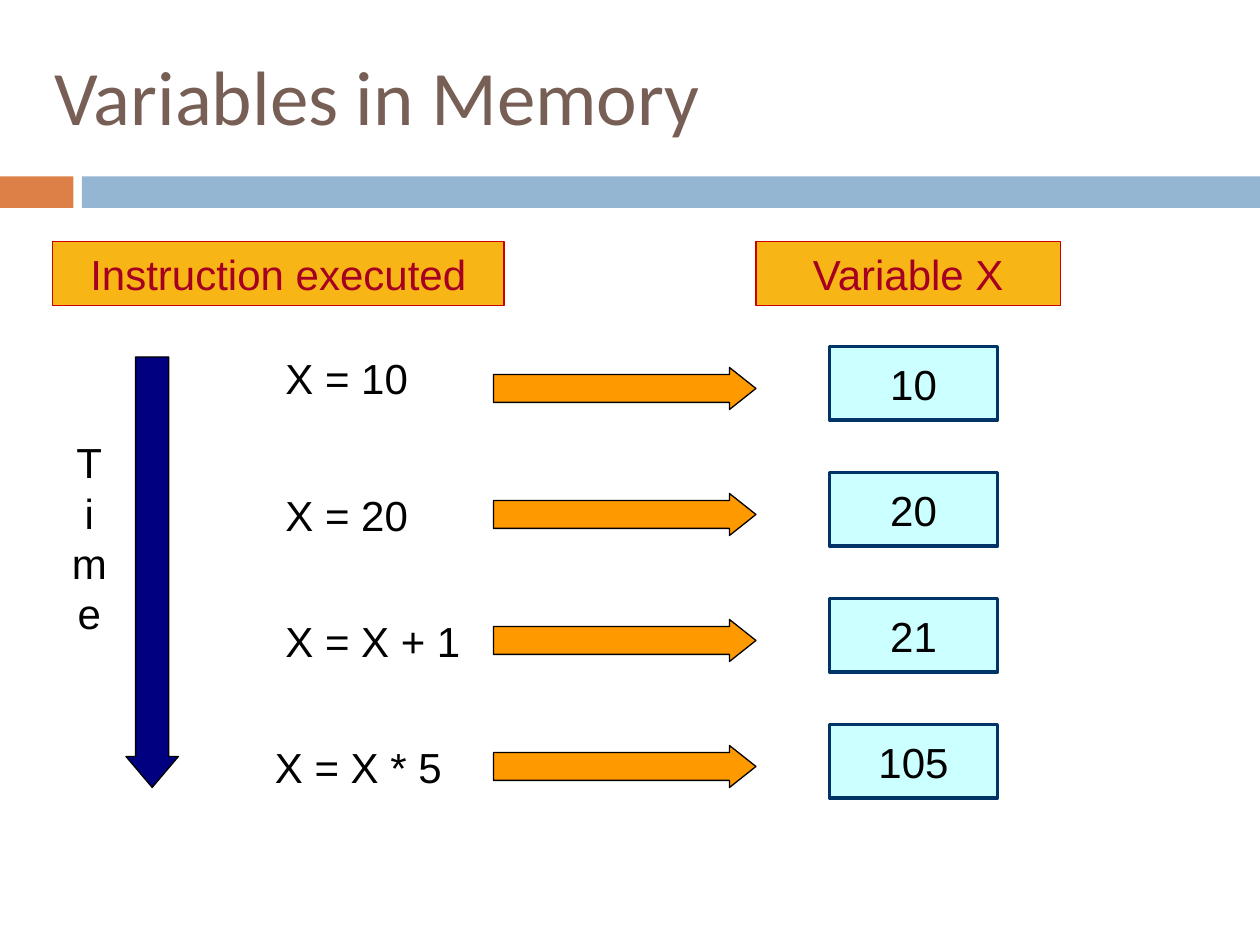
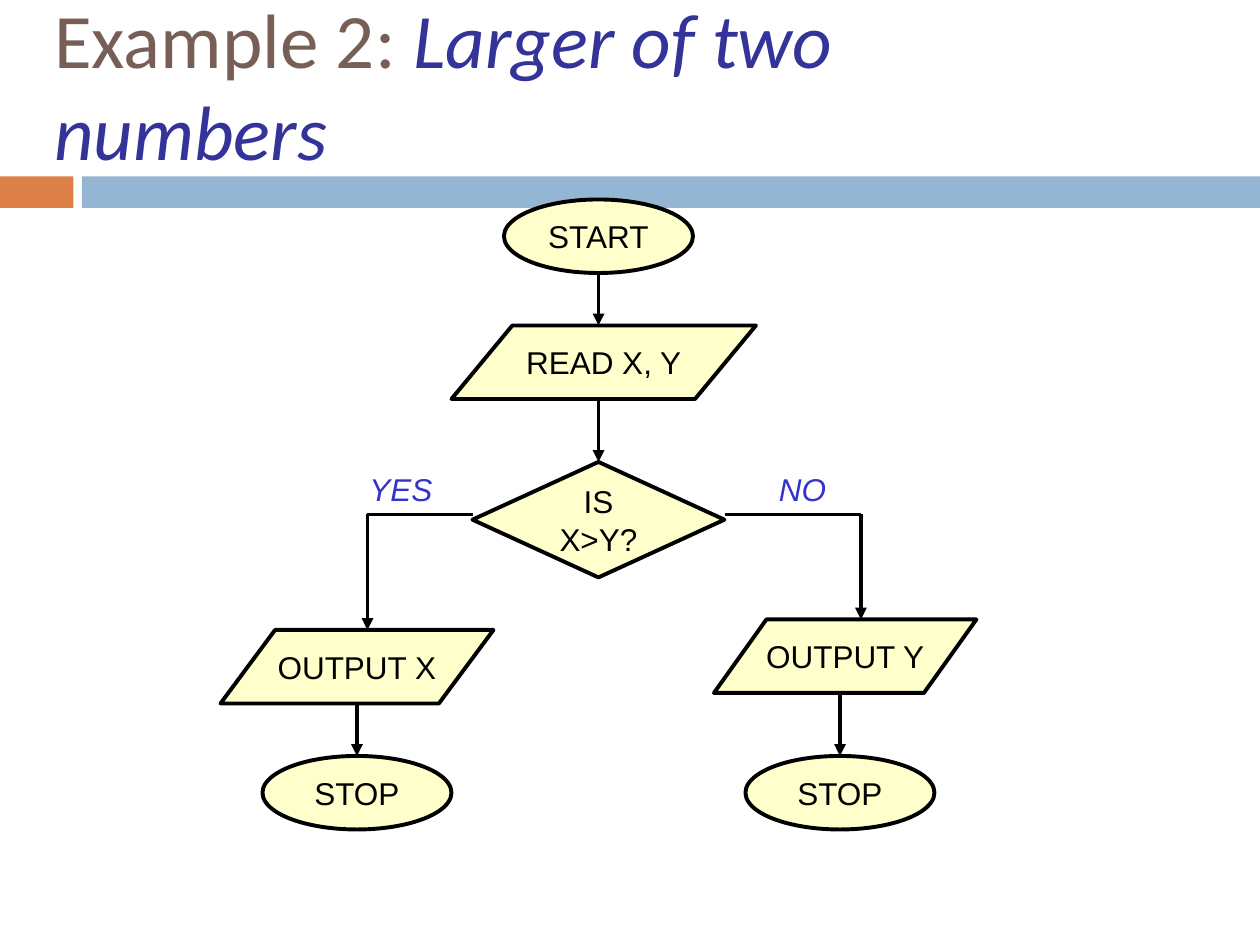
from dataclasses import dataclass

from lxml.etree import SubElement
from pptx import Presentation
from pptx.dml.color import RGBColor
from pptx.enum.shapes import MSO_CONNECTOR as Connector, MSO_SHAPE as Shape
from pptx.enum.text import MSO_ANCHOR as Anchor, PP_ALIGN as Align
from pptx.oxml.ns import qn
from pptx.util import Inches, Pt


@dataclass(frozen=True)
class Theme:
    """Colours, fonts and type sizes shared by the slides."""
    title_font: str = "Calibri"
    body_font: str = "Arial"
    title_size: int = 44
    body_size: int = 24
    chart_size: int = 18
    title: str = "775F55"
    subtitle: str = "333399"
    accent: str = "DD8047"
    band: str = "94B6D2"
    ink: str = "000000"
    heading: str = "A50021"
    heading_fill: str = "F7B615"
    heading_line: str = "CC0000"
    memory_fill: str = "CCFFFF"
    memory_line: str = "003366"
    arrow: str = "FF9900"
    time: str = "000080"
    node: str = "FFFFCC"
    branch: str = "3333CC"
    thin: float = 0.75
    medium: float = 2
    thick: float = 2.25


theme = Theme()
CELL = Inches(1 / 12)  # the page is a grid of 120 columns by 90 rows


def add_box(shapes, kind, area, text="", size=theme.body_size, color=theme.ink,
            fill=None, line=None, weight=theme.thin, align=Align.CENTER,
            wrap=True, italic=False, font=theme.body_font):
    """Add a preset shape, or a text box if kind is None, on (col, row, cols, rows)."""
    place = [round(cells * CELL) for cells in area]
    if kind is None:
        box = shapes.add_textbox(*place)
    else:
        box = shapes.add_shape(kind, *place)
        box.shadow.inherit = False
        box.fill.solid()
        box.fill.fore_color.rgb = RGBColor.from_string(fill)
        if line:
            box.line.color.rgb = RGBColor.from_string(line)
            box.line.width = Pt(weight)
        else:
            box.line.fill.background()
    if text:
        box.text_frame.text = text
        box.text_frame.word_wrap = wrap
        for para in box.text_frame.paragraphs:
            para.alignment = align
            for span in para.runs:
                span.font.name, span.font.size = font, Pt(size)
                span.font.italic = italic
                span.font.color.rgb = RGBColor.from_string(color)
    return box


def add_line(page, start, end, arrow):
    """Join two grid points with a straight line, with an arrowhead if asked."""
    points = [round(cells * CELL) for cells in start + end]
    link = page.shapes.add_connector(Connector.STRAIGHT, *points)
    link.line.color.rgb = RGBColor.from_string(theme.ink)
    link.line.width = Pt(theme.thick)
    properties = link.element.spPr
    if arrow:
        SubElement(properties.find(qn("a:ln")), qn("a:tailEnd"), type="triangle")
    SubElement(properties, qn("a:effectLst"))


deck = Presentation()
deck.slide_width, deck.slide_height = 120 * CELL, 90 * CELL
blank = deck.slide_layouts[6]

# Shared frame: bands and title
titles = [("Variables in Memory", "", (4, 4, 102, 10)),
          ("Example 2: ", "Larger of two numbers", (4, 2, 102, 12))]
pages = []
for text, emphasis, area in titles:
    page = deck.slides.add_slide(blank)
    add_box(page.shapes, Shape.RECTANGLE, (0, 16.8, 7, 3), fill=theme.accent)
    add_box(page.shapes, Shape.RECTANGLE, (7.8, 16.8, 112.2, 3), fill=theme.band)
    title = add_box(page.shapes, None, area, text, theme.title_size, theme.title,
                    align=Align.LEFT, font=theme.title_font)
    title.text_frame.vertical_anchor = Anchor.MIDDLE
    if emphasis:
        span = title.text_frame.paragraphs[0].add_run()
        span.text = emphasis
        span.font.name, span.font.size = theme.title_font, Pt(theme.title_size)
        span.font.italic = True
        span.font.color.rgb = RGBColor.from_string(theme.subtitle)
    pages.append(page)
memory_page, flow_page = pages

# Variables in memory: headings, time axis, one row per instruction
for text, column, columns in [("Instruction executed", 5, 43), ("Variable X", 72, 29)]:
    add_box(memory_page.shapes, Shape.RECTANGLE, (column, 23, columns, 6.1), text,
            color=theme.heading, fill=theme.heading_fill, line=theme.heading_line)

time_arrow = add_box(memory_page.shapes, Shape.DOWN_ARROW, (12, 34, 5, 41),
                     fill=theme.time, line=theme.ink)
time_arrow.adjustments[0], time_arrow.adjustments[1] = 0.63, 0.59
add_box(memory_page.shapes, None, (4, 41, 9, 27.6), "\n".join("Time"))

steps = [("X = 10", "10", 26, 33), ("X = 20", "20", 26, 46),
         ("X = X + 1", "21", 26, 58), ("X = X * 5", "105", 25, 70)]
for index, (instruction, value, column, row) in enumerate(steps):
    add_box(memory_page.shapes, None, (column, row, 20, 6), instruction,
            align=Align.LEFT)
    group = memory_page.shapes.add_group_shape()
    top = 33 + 12 * index
    add_box(group.shapes, Shape.RECTANGLE, (79, top, 16, 7), value, wrap=False,
            fill=theme.memory_fill, line=theme.memory_line, weight=theme.medium)
    arrow = add_box(group.shapes, Shape.RIGHT_ARROW, (47, top + 2, 25, 4),
                    fill=theme.arrow, line=theme.ink)
    arrow.adjustments[0], arrow.adjustments[1] = 0.66, 0.63

# Flowchart: links, nodes, branch labels
links = [((57, 26), (57, 31), True), ((57, 38), (57, 44), True),
         ((69, 49), (82, 49), False), ((45, 49), (35, 49), False),
         ((82, 49), (82, 59), True), ((35, 49), (35, 60), True),
         ((80, 66), (80, 72), True), ((34, 67), (34, 72), True)]
for start, end, arrow in links:
    add_line(flow_page, start, end, arrow)

terminal, data, decision = (Shape.OVAL, Shape.FLOWCHART_DATA,
                            Shape.FLOWCHART_DECISION)
nodes = [(terminal, (48, 19, 18, 7), "START"),
         (data, (43, 31, 29, 7), "READ X, Y"),
         (decision, (45, 44, 24, 11), "IS\nX>Y?"),
         (data, (21, 60, 26, 7), "OUTPUT X"),
         (data, (68, 59, 25, 7), "OUTPUT Y"),
         (terminal, (25, 72, 18, 7), "STOP"),
         (terminal, (71, 72, 18, 7), "STOP")]
for kind, area, text in nodes:
    add_box(flow_page.shapes, kind, area, text, theme.chart_size, fill=theme.node,
            line=theme.ink, weight=theme.thick, wrap=False)

for text, column in [("YES", 34), ("NO", 73)]:
    add_box(flow_page.shapes, None, (column, 44.2, 14, 4.8), text, theme.chart_size,
            theme.branch, align=Align.LEFT, italic=True)

deck.save("out.pptx")
